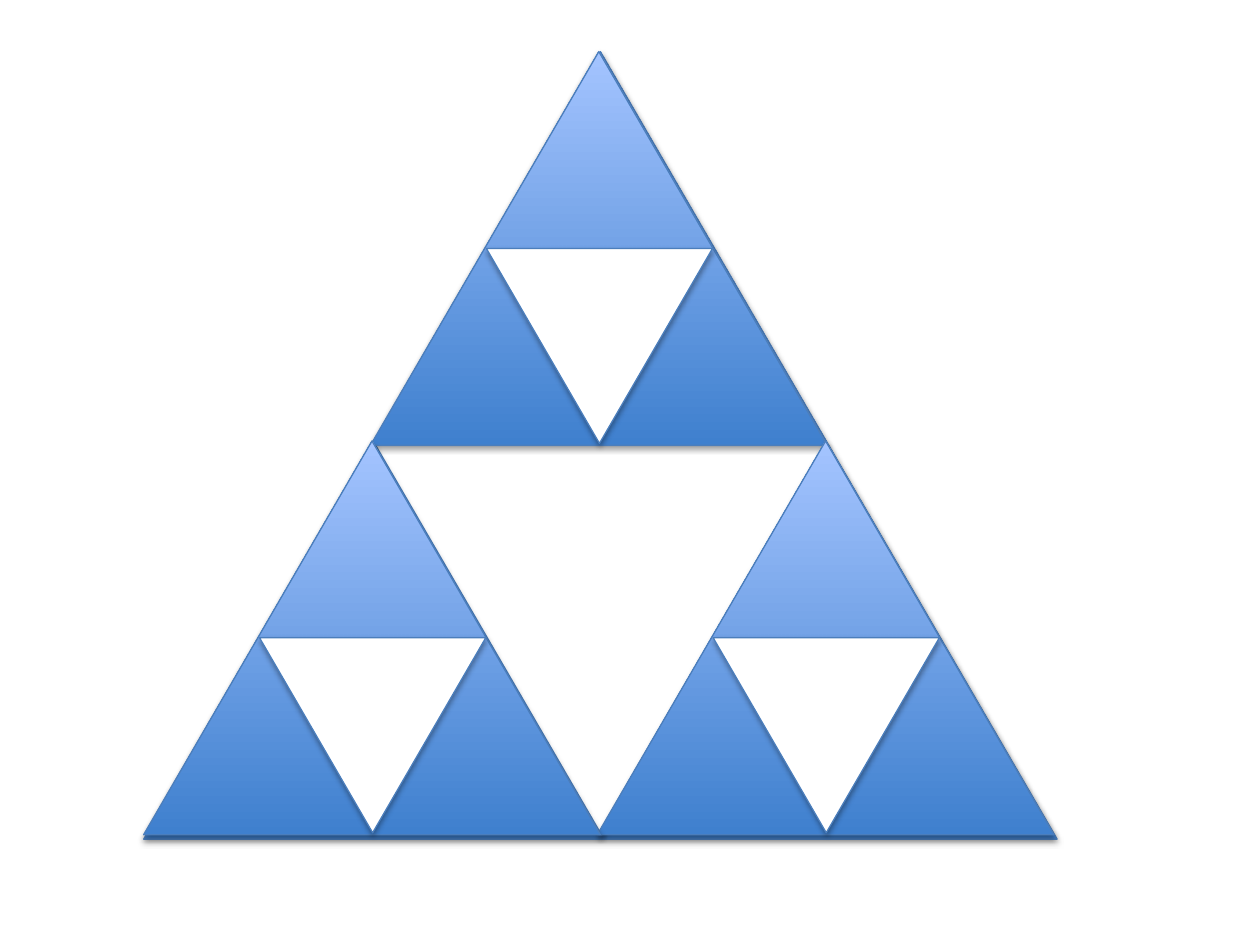
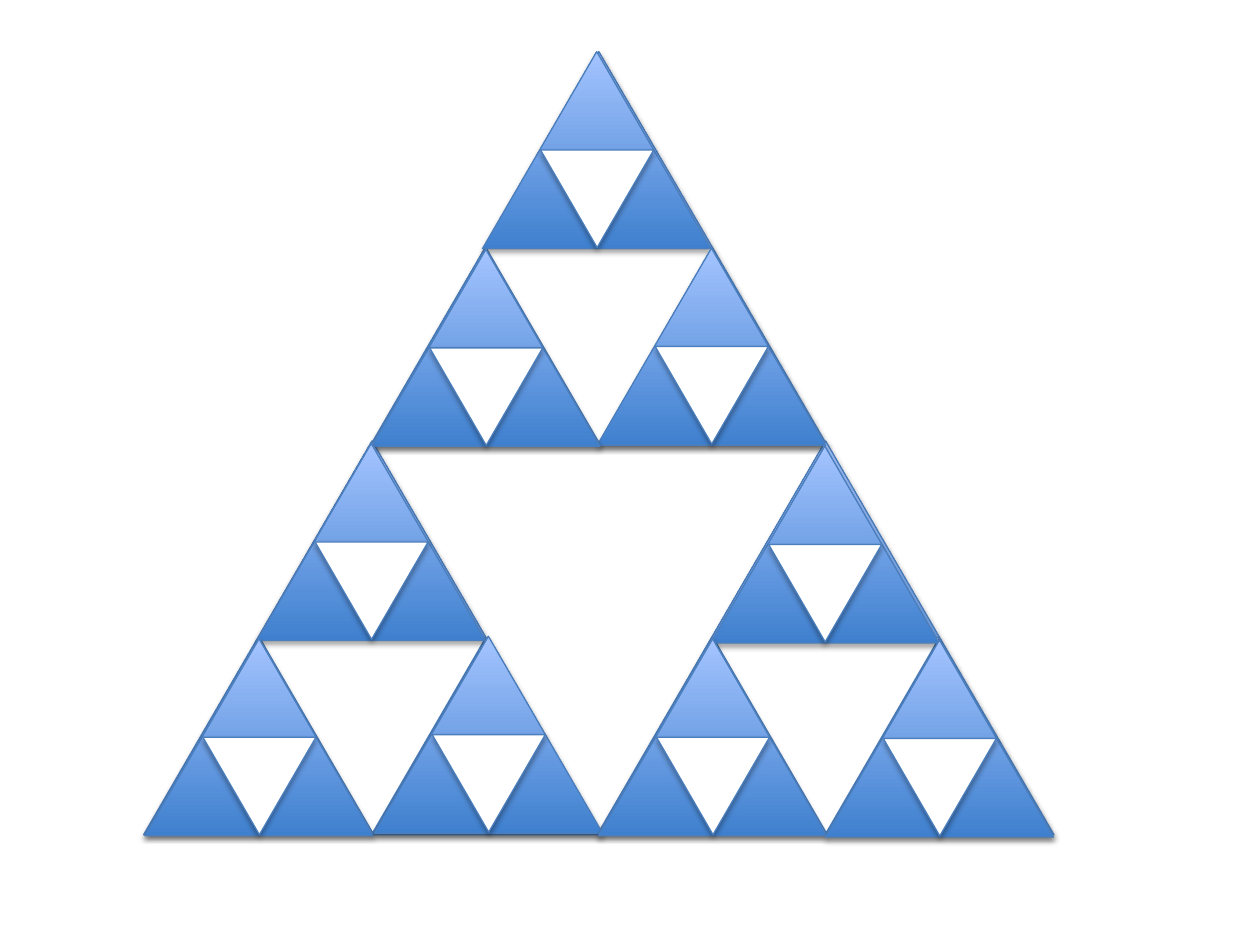
"""Build two slides that show successive stages of a Sierpinski triangle."""
from lxml import etree
from pptx import Presentation
from pptx.dml.color import RGBColor
from pptx.enum.shapes import MSO_SHAPE
from pptx.oxml.ns import qn
from pptx.util import Inches, Pt

TRIANGLE = MSO_SHAPE.ISOSCELES_TRIANGLE
BASE_BLUE = RGBColor(0x3F, 0x80, 0xCE)
TIP_BLUE = RGBColor(0xA4, 0xC4, 0xFF)
EDGE_BLUE = RGBColor(0x4B, 0x7E, 0xBC)
WHITE = RGBColor(0xFF, 0xFF, 0xFF)

WHOLE_WIDTH = 7.25
HEIGHT_RATIO = 6.25 / 7.25
HOLE_SCALE = 0.495
HOLE_LEFT = 0.254
HOLE_TOP = 0.5

WHOLE = [(1.14, 0.41)]
HALVES = [(2.94, 0.41), (4.74, 3.5), (1.14, 3.5)]
QUARTERS = [
    (3.83, 0.41), (4.74, 1.97), (2.95, 1.98),
    (5.64, 3.54), (2.04, 3.52), (1.15, 5.07),
    (2.97, 5.05), (4.75, 5.07), (6.55, 5.08),
]
STAGES = [WHOLE, HALVES, QUARTERS]


class TriangleDeck:
    """Hold the deck, its triangle style and the current slide."""

    def __init__(self):
        self.deck = Presentation()
        self.deck.slide_width = Inches(10)
        self.deck.slide_height = Inches(7.5)
        self.page = None

    def add_page(self):
        self.page = self.deck.slides.add_slide(self.deck.slide_layouts[6])

    def add_shadow(self, shape):
        shape.shadow.inherit = False
        effects = shape._element.spPr.find(qn("a:effectLst"))
        shadow = etree.SubElement(
            effects, qn("a:outerShdw"), blurRad=str(Pt(3.1)), dist=str(Pt(1.8)),
            dir="5400000", rotWithShape="0")
        color = etree.SubElement(shadow, qn("a:srgbClr"), val="000000")
        etree.SubElement(color, qn("a:alpha"), val="35000")

    def add_triangle(self, group, left, top, width):
        shape = group.shapes.add_shape(
            TRIANGLE, Inches(left), Inches(top),
            Inches(width), Inches(width * HEIGHT_RATIO))
        shape.line.color.rgb = EDGE_BLUE
        shape.line.width = Pt(0.75)
        self.add_shadow(shape)
        return shape

    def add_solid(self, group, left, top, width):
        fill = self.add_triangle(group, left, top, width).fill
        fill.gradient()
        fill.gradient_angle = 90
        for stop, color in zip(fill.gradient_stops, (BASE_BLUE, TIP_BLUE)):
            stop.color.rgb = color

    def add_hole(self, group, left, top, width):
        hole = self.add_triangle(
            group, left + HOLE_LEFT * width,
            top + HOLE_TOP * width * HEIGHT_RATIO, HOLE_SCALE * width)
        hole.fill.solid()
        hole.fill.fore_color.rgb = WHITE
        hole._element.spPr.get_or_add_xfrm().set("flipV", "1")

    def add_pierced_triangle(self, left, top, width):
        group = self.page.shapes.add_group_shape()
        self.add_solid(group, left, top, width)
        self.add_hole(group, left, top, width)

    def add_stages(self, first, last):
        self.add_page()
        for level in range(first, last + 1):
            for left, top in STAGES[level]:
                self.add_pierced_triangle(left, top, WHOLE_WIDTH / 2 ** level)


def main():
    builder = TriangleDeck()
    builder.add_stages(0, 1)
    builder.add_stages(1, 2)
    builder.deck.save("out.pptx")


if __name__ == "__main__":
    main()
